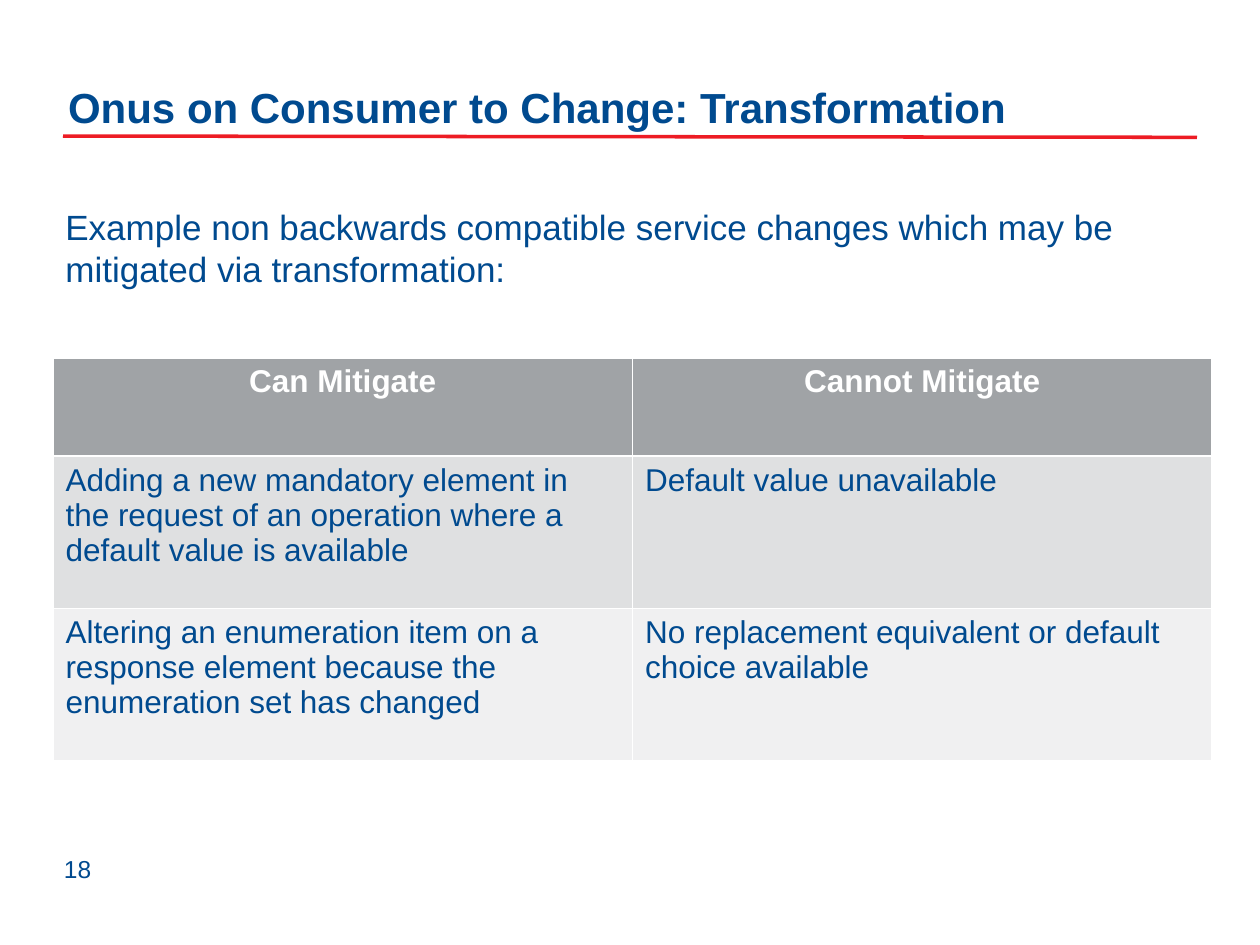
from lxml.etree import SubElement
from pptx import Presentation
from pptx.dml.color import RGBColor
from pptx.enum.shapes import MSO_CONNECTOR
from pptx.enum.text import MSO_ANCHOR, PP_ALIGN
from pptx.oxml.ns import qn
from pptx.util import Inches, Pt

BLUE, RED, WHITE = "004A8F", "ED1C24", "FFFFFF"
HEAD = "A0A3A6"
BANDS = ["DFE0E1", "F0F0F1"]
ROWS = [
    ("Can Mitigate", "Cannot Mitigate"),
    ("Adding a new mandatory element in the request of an operation "
     "where a default value is available",
     "Default value unavailable"),
    ("Altering an enumeration item on a response element because the "
     "enumeration set has changed",
     "No replacement equivalent or default choice available"),
]
HEIGHTS = [0.78, 1.21, 1.21]


def color(code):
    return RGBColor.from_string(code)


def write(frame, text, size, tint=BLUE, bold=False, align=PP_ALIGN.LEFT):
    frame.text = text
    frame.word_wrap = True
    para = frame.paragraphs[0]
    para.alignment = align
    font = para.font
    font.name, font.size, font.bold = "Arial", Pt(size), bold
    font.color.rgb = color(tint)


def place(shape, left, top, width, height):
    shape.left, shape.top = Inches(left), Inches(top)
    shape.width, shape.height = Inches(width), Inches(height)


def add_title(slide, text):
    title = slide.shapes.title
    place(title, 0.42, 0.6, 9.08, 0.92)
    frame = title.text_frame
    write(frame, text, 24, bold=True)
    frame.vertical_anchor = MSO_ANCHOR.TOP
    frame.margin_left = frame.margin_right = Inches(0.12)


def add_rule(slide):
    rule = slide.shapes.add_connector(
        MSO_CONNECTOR.STRAIGHT,
        Inches(0.5), Inches(1.08), Inches(9.5), Inches(1.09))
    rule.line.color.rgb = color(RED)
    rule.line.width = Pt(2)
    SubElement(rule._element.spPr, qn("a:effectLst"))


def add_text(slide, text, size, box, anchor=MSO_ANCHOR.TOP):
    shape = slide.shapes.add_textbox(*map(Inches, box))
    write(shape.text_frame, text, size)
    shape.text_frame.vertical_anchor = anchor


def add_grid(slide):
    """The table style supplies the white borders."""
    frame = slide.shapes.add_table(
        len(ROWS), 2, Inches(0.42), Inches(2.84),
        Inches(9.2), Inches(sum(HEIGHTS)))
    table = frame.table
    for r, (texts, height) in enumerate(zip(ROWS, HEIGHTS)):
        table.rows[r].height = Inches(height)
        for c, text in enumerate(texts):
            cell = table.cell(r, c)
            cell.fill.solid()
            if r == 0:
                cell.fill.fore_color.rgb = color(HEAD)
                write(cell.text_frame, text, 18, WHITE, True, PP_ALIGN.CENTER)
            else:
                cell.fill.fore_color.rgb = color(BANDS[r - 1])
                write(cell.text_frame, text, 18)


def main():
    deck = Presentation()
    deck.slide_width, deck.slide_height = Inches(10), Inches(7.5)
    slide = deck.slides.add_slide(deck.slide_layouts[5])
    add_rule(slide)
    add_title(slide, "Onus on Consumer to Change: Transformation")
    add_text(slide, "Example non backwards compatible service changes "
             "which may be mitigated via transformation:",
             20, (0.42, 1.58, 9.08, 0.8))
    add_text(slide, "18", 14, (0.41, 6.61, 2.33, 0.57), MSO_ANCHOR.MIDDLE)
    add_grid(slide)
    deck.save("out.pptx")


if __name__ == "__main__":
    main()
